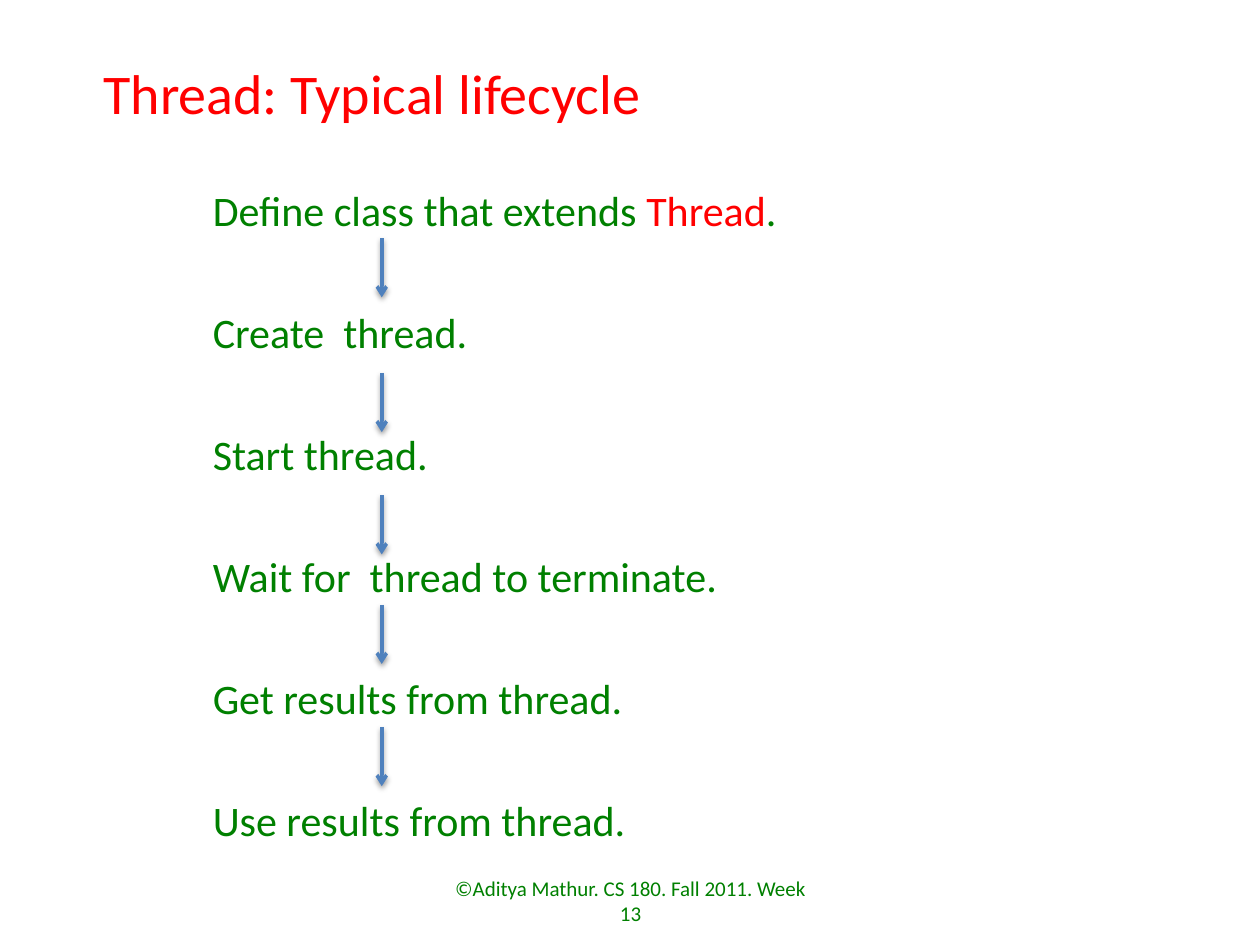
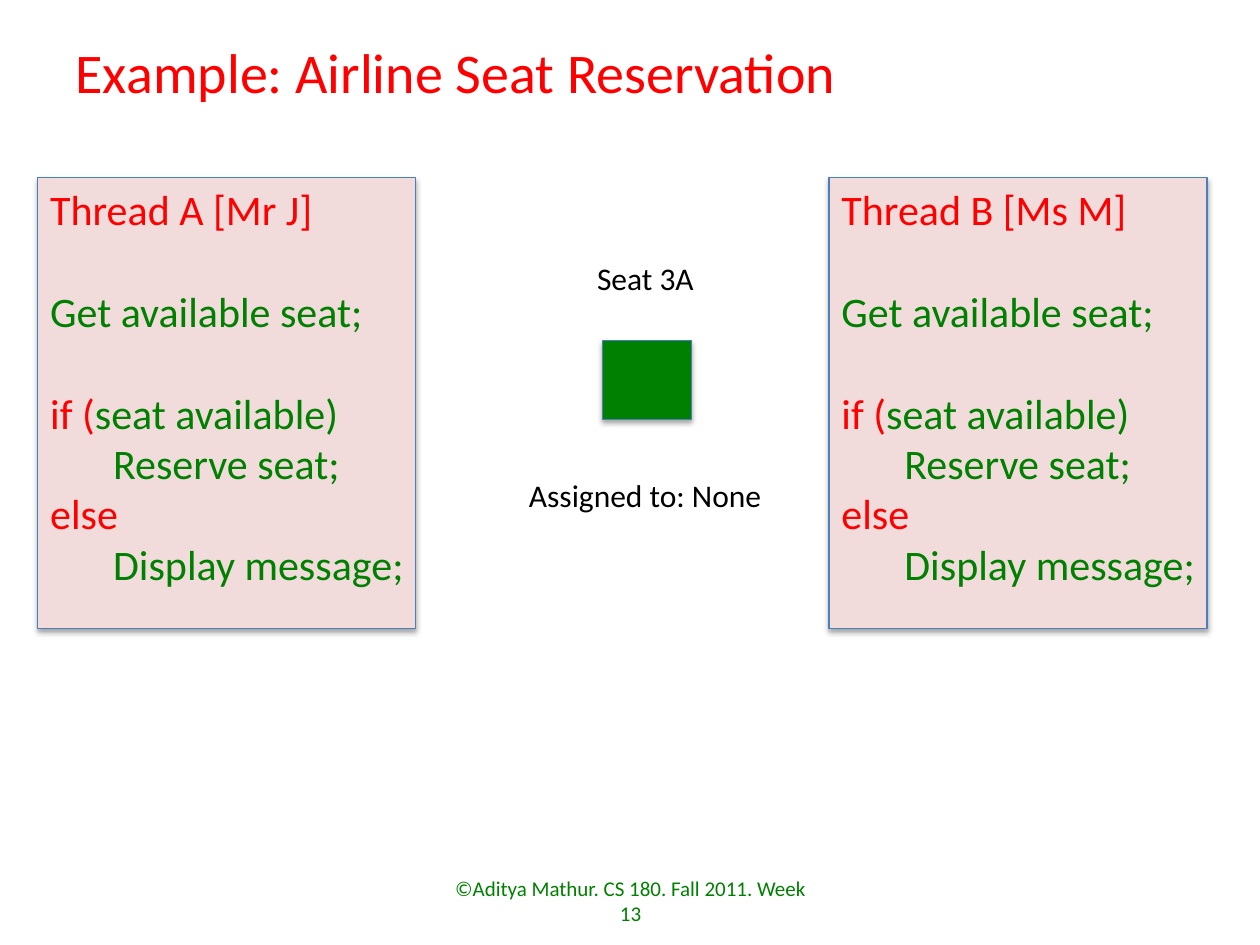
import pptx
import pptx.util
import pptx.dml.color
import pptx.enum.shapes
import pptx.enum.text
import pptx.oxml
import pptx.oxml.ns

Inches = pptx.util.Inches
Pt = pptx.util.Pt
RGBColor = pptx.dml.color.RGBColor
ANCHOR = pptx.enum.text.MSO_ANCHOR
AUTO_SIZE = pptx.enum.text.MSO_AUTO_SIZE
ALIGN = pptx.enum.text.PP_ALIGN

RED = RGBColor(0xFF, 0x00, 0x00)
GREEN = RGBColor(0x00, 0x80, 0x00)
BLACK = RGBColor(0x00, 0x00, 0x00)
PINK = RGBColor(0xF2, 0xDC, 0xDB)
ARROW_BLUE = RGBColor(0x4F, 0x81, 0xBD)
EDGE_BLUE = RGBColor(0x4B, 0x7E, 0xBC)

FONT = "Calibri"
FOOTER = "©Aditya Mathur. CS 180. Fall 2011. Week 13"
CODE_GAP = 29.3

STEPS = [
    [("Define class that extends ", GREEN), ("Thread", RED), (".", GREEN)],
    [("Create  thread.", GREEN)],
    [("Start thread.", GREEN)],
    [("Wait for  thread to terminate.", GREEN)],
    [("Get results from thread.", GREEN)],
    [("Use results from thread.", GREEN)],
]
ARROW_TOPS = [1.89, 2.96, 3.93, 4.8, 5.77]

RESERVATION_CODE = [
    ([("Get available seat;", GREEN)], {"before": CODE_GAP}),
    ([("if (", RED), ("seat available)", GREEN)], {"before": CODE_GAP}),
    ([("Reserve seat;", GREEN)], {"indent": 0.5}),
    ([("else", RED)], {}),
    ([("Display message;", GREEN)], {"indent": 0.5}),
]


def write(p, runs, size=24, align=ALIGN.LEFT, spacing=None, before=0, indent=0):
    p.alignment = align
    p.space_before = Pt(before)
    if spacing:
        p.line_spacing = Pt(spacing)
    if indent:
        p._p.get_or_add_pPr().set("marL", str(Inches(indent)))
    for text, color in runs:
        r = p.add_run()
        r.text = text
        r.font.name = FONT
        r.font.size = Pt(size)
        r.font.color.rgb = color


def add_title(s, text, x, y, w, h, spacing=None):
    sp = s.shapes.title
    sp.left, sp.top, sp.width, sp.height = map(Inches, (x, y, w, h))
    tf = sp.text_frame
    tf.auto_size = AUTO_SIZE.NONE
    tf.vertical_anchor = ANCHOR.TOP
    write(tf.paragraphs[0], [(text, RED)], size=32, spacing=spacing)


def add_text(s, x, y, w, h, paragraphs, wrap=True, anchor=ANCHOR.TOP, **fmt):
    tf = s.shapes.add_textbox(*map(Inches, (x, y, w, h))).text_frame
    tf.word_wrap = wrap
    tf.auto_size = AUTO_SIZE.NONE if wrap else AUTO_SIZE.SHAPE_TO_FIT_TEXT
    tf.vertical_anchor = anchor
    for i, (runs, extra) in enumerate(paragraphs):
        p = tf.add_paragraph() if i else tf.paragraphs[0]
        write(p, runs, **{**fmt, **extra})


def add_footer(s):
    add_text(s, 3.42, 6.95, 3.17, 0.4, [([(FOOTER, GREEN)], {})],
             anchor=ANCHOR.MIDDLE, size=12, align=ALIGN.CENTER)


def add_shadow(sp, distance, opacity):
    sp._element.spPr.append(pptx.oxml.parse_xml(
        f'<a:effectLst {pptx.oxml.ns.nsdecls("a")}>'
        f'<a:outerShdw blurRad="{Pt(3.1)}" dist="{Pt(distance)}" dir="5400000" rotWithShape="0">'
        f'<a:srgbClr val="000000"><a:alpha val="{opacity * 1000}"/></a:srgbClr>'
        '</a:outerShdw></a:effectLst>'))


def add_box(s, x, y, w, h, fill):
    sp = s.shapes.add_shape(pptx.enum.shapes.MSO_SHAPE.RECTANGLE,
                            *map(Inches, (x, y, w, h)))
    sp.fill.solid()
    sp.fill.fore_color.rgb = fill
    sp.line.color.rgb = EDGE_BLUE
    sp.line.width = Pt(0.75)
    add_shadow(sp, 1.8, 35)


def add_down_arrow(s, x, y, length):
    sp = s.shapes.add_connector(pptx.enum.shapes.MSO_CONNECTOR.STRAIGHT,
                                *map(Inches, (x, y, x, y + length)))
    sp.line.color.rgb = ARROW_BLUE
    sp.line.width = Pt(2)
    sp.line._get_or_add_ln().append(pptx.oxml.parse_xml(
        f'<a:tailEnd {pptx.oxml.ns.nsdecls("a")} type="arrow"/>'))
    add_shadow(sp, 1.6, 38)


def add_thread_panel(s, x, heading):
    add_box(s, x, 1.41, 3, 3.58, PINK)
    add_text(s, x, 1.41, 3.03, 3.33,
             [([(heading, RED)], {})] + RESERVATION_CODE, wrap=False)


def add_seat_label(s, x, y, w, text):
    add_text(s, x, y, w, 0.4, [([(text, BLACK)], {})], wrap=False, size=18)


def build_lifecycle(s):
    add_title(s, "Thread: Typical lifecycle", 0.72, 0.42, 7.92, 0.67, spacing=38)
    for i, runs in enumerate(STEPS):
        add_text(s, 1.59, 1.26 + i * 0.968, 5.51, 0.64, [(runs, {})], spacing=40)
    for y in ARROW_TOPS:
        add_down_arrow(s, 3.03, y, 0.47)
    add_footer(s)


def build_reservation(s):
    add_title(s, "Example: Airline Seat Reservation", 0.5, 0.25, 6.29, 0.64)
    add_thread_panel(s, 0.3, "Thread A [Mr J]")
    add_thread_panel(s, 6.58, "Thread B [Ms M]")
    add_seat_label(s, 4.64, 2.01, 0.98, "Seat 3A")
    add_box(s, 4.78, 2.7, 0.71, 0.63, GREEN)
    add_seat_label(s, 4.1, 3.73, 2.06, "Assigned to: None")
    add_footer(s)


def main():
    prs = pptx.Presentation()
    prs.slide_width, prs.slide_height = Inches(10), Inches(7.5)
    title_only = prs.slide_layouts[5]
    for build in (build_lifecycle, build_reservation):
        build(prs.slides.add_slide(title_only))
    prs.save("out.pptx")


if __name__ == "__main__":
    main()
